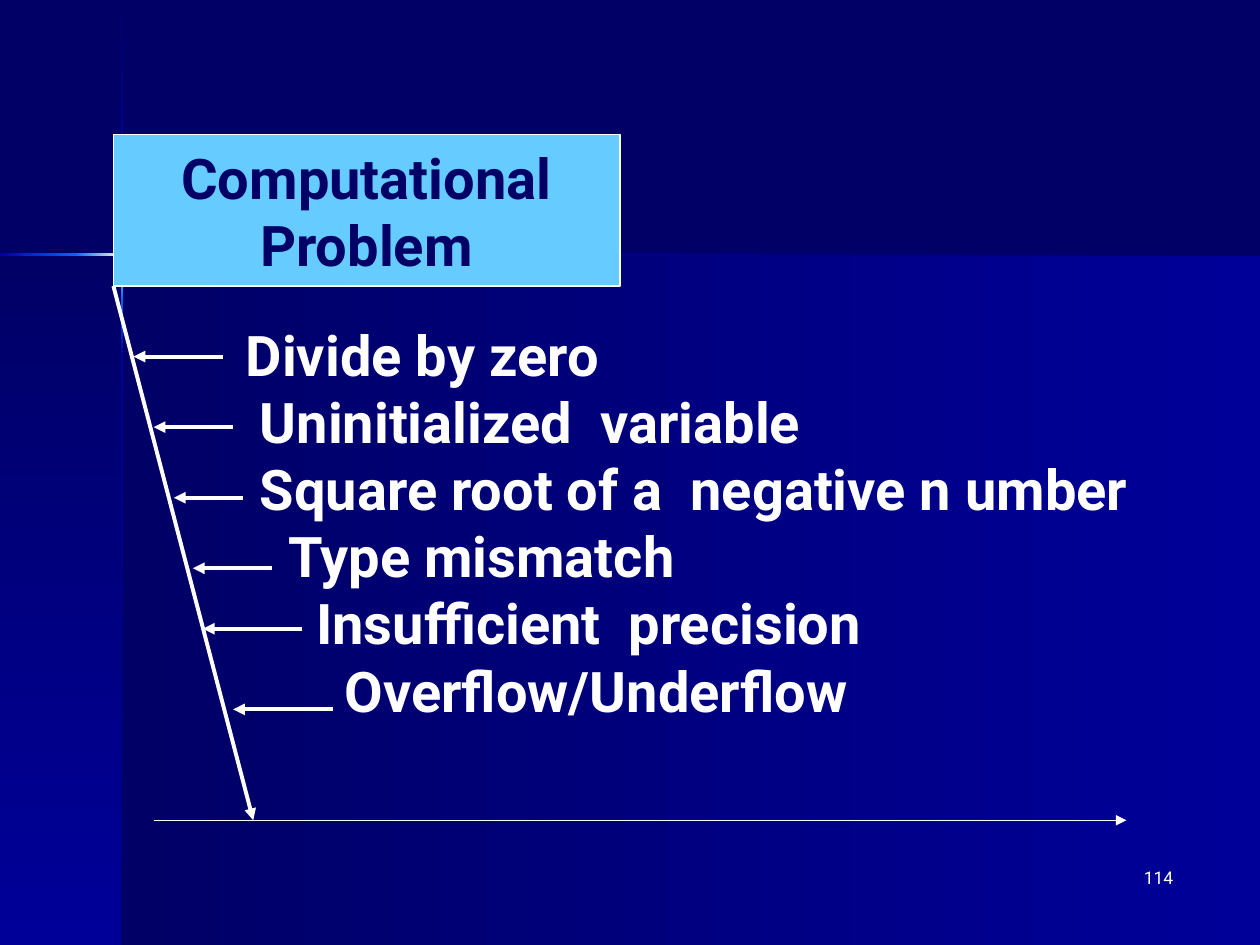
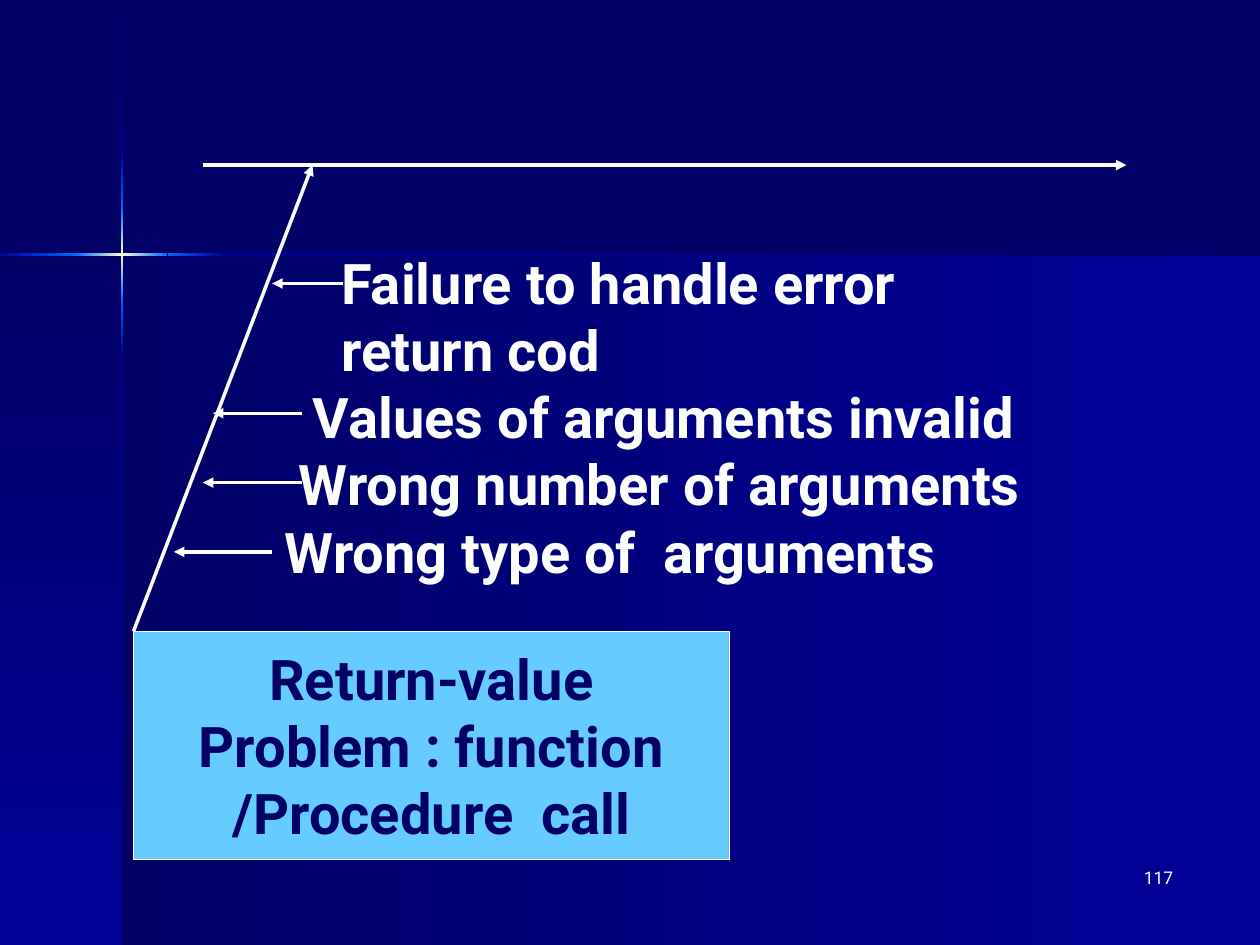
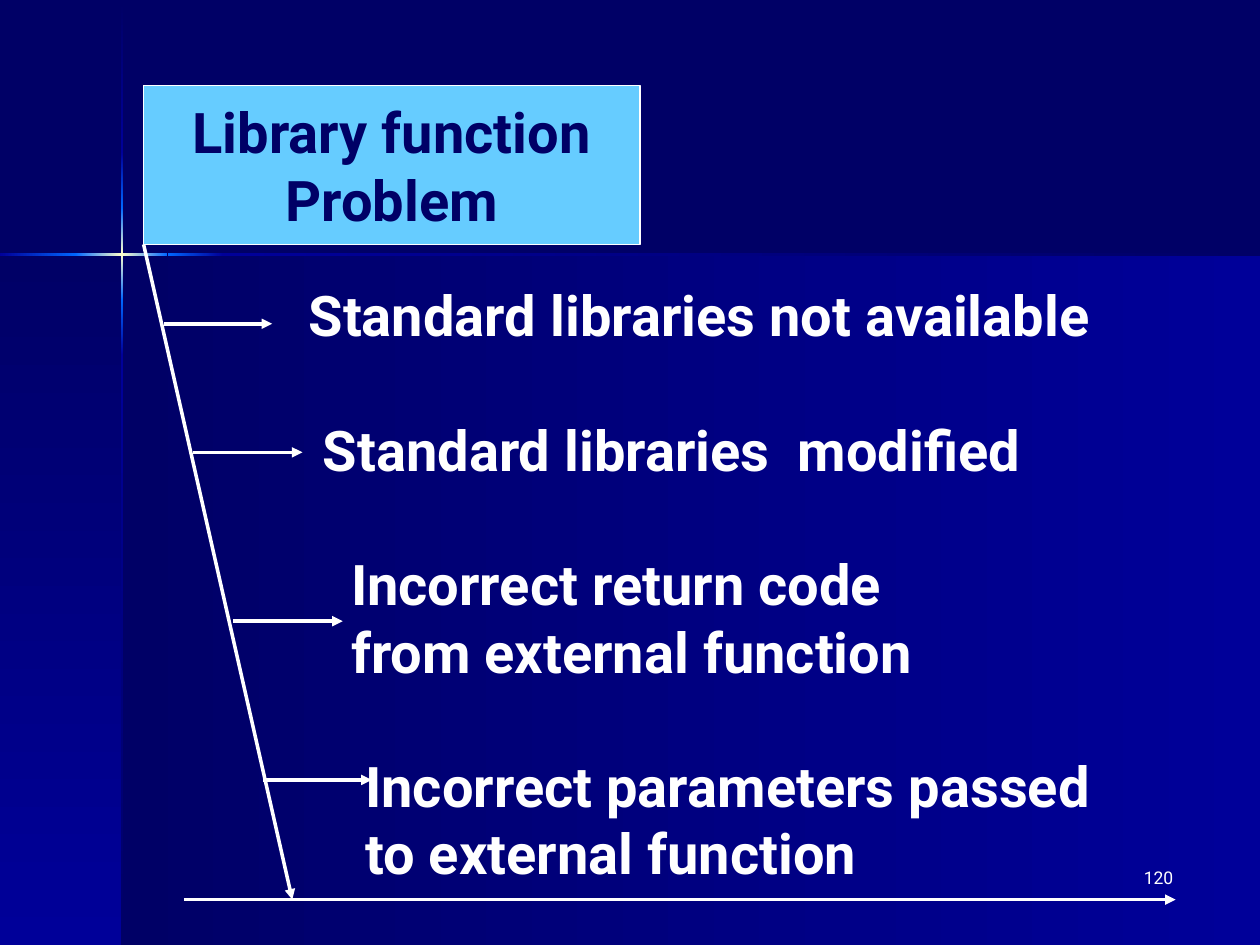
from pptx import Presentation
from pptx import util as u
from pptx.dml.color import RGBColor
from pptx.enum import shapes, text
from pptx.oxml import parse_xml
from pptx.oxml.ns import nsdecls, qn

C = {"dark": "000066", "deep": "000099", "glow": "0066FF", "spark": "FFFFCC",
     "box": "66CCFF", "white": "FFFFFF"}
FONT = "Roboto"
COLS, ROWS = 100, 75
LINE_GAP = 38.4   # points, one line of list text
STEP = 1.12       # columns, one step of list indent

# Background bands: left, top, width, height, gradient colours, angle
BANDS = [
    (9.7, 20.2, 90.3, 54.8, ("deep", "dark"), 180),
    (0, 20.2, 9.7, 54.8, ("dark", "deep"), 90),
    (9.6, 0.1, 0.2, 12, ("dark", "deep"), 90),
    (9.6, 28.2, 0.2, 46.8, ("deep", "dark"), 90),
    (17.7, 20.1, 82.3, 0.2, ("dark", "deep"), 180),
    (9.6, 23.8, 0.2, 4.4, ("glow", "deep"), 90),
    (9.6, 12.1, 0.2, 4.4, ("deep", "glow"), 90),
    (9.6, 16.5, 0.2, 7.3, ("glow", "spark", "glow"), 90),
    (0, 20.1, 6.1, 0.2, ("glow", "deep"), 180),
    (13.3, 20.1, 4.4, 0.2, ("deep", "glow"), 180),
    (6, 20.1, 7.3, 0.2, ("glow", "spark", "glow"), 180),
]


def rgb(name):
    return RGBColor.from_string(C[name])


def write(p, words, size=32, color="white", bold=True, align="LEFT", indent=0, before=0):
    """Fill one paragraph with formatted, unbulleted text."""
    r = p.add_run()
    r.text = words
    r.font.name, r.font.size, r.font.bold = FONT, u.Pt(size), bold
    r.font.color.rgb = rgb(color)
    p.alignment = getattr(text.PP_ALIGN, align)
    p.space_before = u.Pt(before)
    pPr = p._p.get_or_add_pPr()
    pPr.set("marL", str(int(indent)))
    pPr.set("indent", "0")
    pPr.append(parse_xml(f'<a:buNone {nsdecls("a")}/>'))


class Deck:
    def __init__(self):
        self.prs = Presentation()
        self.prs.slide_width, self.prs.slide_height = u.Inches(10), u.Inches(7.5)
        self.s = None

    def x(self, cols):
        return round(self.prs.slide_width * cols / COLS)

    def y(self, rows):
        return round(self.prs.slide_height * rows / ROWS)

    def place(self, sp, left, top, width, height):
        sp.left, sp.top = self.x(left), self.y(top)
        sp.width, sp.height = self.x(width), self.y(height)

    def new_slide(self):
        self.s = self.prs.slides.add_slide(self.prs.slide_layouts[1])

    def master(self):
        """Put the background and its bands on the slide master."""
        m = self.prs.slide_master
        m.background.fill.solid()
        m.background.fill.fore_color.rgb = rgb("dark")
        for i, band in enumerate(BANDS):
            m.shapes.element.insert(2 + i, self.band(*band).element)

    def band(self, left, top, width, height, colors, angle):
        sp = self.s.shapes.add_shape(shapes.MSO_SHAPE.RECTANGLE, 0, 0, 0, 0)
        self.place(sp, left, top, width, height)
        stops = "".join(
            f'<a:gs pos="{100000 * i // (len(colors) - 1)}"><a:srgbClr val="{C[c]}"/></a:gs>'
            for i, c in enumerate(colors))
        sp.element.spPr.append(parse_xml(
            f'<a:gradFill {nsdecls("a")} rotWithShape="1"><a:gsLst>{stops}</a:gsLst>'
            f'<a:lin ang="{angle * 60000}" scaled="0"/></a:gradFill>'))
        sp.line.fill.background()
        sp.shadow.inherit = False
        return sp

    def frame(self, sp, anchor):
        tf = sp.text_frame
        tf.word_wrap = True
        tf.auto_size = text.MSO_AUTO_SIZE.NONE
        tf.vertical_anchor = getattr(text.MSO_ANCHOR, anchor)
        return tf

    def paragraphs(self, tf, count):
        return [tf.paragraphs[0]] + [tf.add_paragraph() for _ in range(count - 1)]

    def title(self, box, lines):
        sp = self.s.shapes.title
        self.place(sp, *box)
        sp.fill.solid()
        sp.fill.fore_color.rgb = rgb("box")
        sp.line.color.rgb, sp.line.width = rgb("white"), u.Pt(0.75)
        tf = self.frame(sp, "MIDDLE")
        for p, line in zip(self.paragraphs(tf, len(lines)), lines):
            write(p, line, color="dark", align="CENTER")

    def body(self, box, items):
        """Each item is text, indent steps and blank lines above."""
        sp = self.s.placeholders[1]
        self.place(sp, *box)
        tf = self.frame(sp, "TOP")
        for p, (line, steps, gap) in zip(self.paragraphs(tf, len(items)), items):
            write(p, line, indent=self.x(steps * STEP), before=gap * LINE_GAP)

    def arrow(self, start, end, width=2):
        c = self.s.shapes.add_connector(
            shapes.MSO_CONNECTOR.STRAIGHT,
            self.x(start[0]), self.y(start[1]), self.x(end[0]), self.y(end[1]))
        c.line.color.rgb, c.line.width = rgb("white"), u.Pt(width)
        spPr = c.element.spPr
        spPr.find(qn("a:ln")).append(parse_xml(f'<a:tailEnd {nsdecls("a")} type="triangle"/>'))
        spPr.append(parse_xml(f'<a:effectLst {nsdecls("a")}/>'))

    def ribs(self, rows, width=2):
        """Each rib is its row, start column and end column."""
        for row, start, end in rows:
            self.arrow((start, row), (end, row), width)

    def number(self, n):
        sp = self.s.shapes.add_textbox(0, 0, 0, 0)
        self.place(sp, 73.3, 68.3, 20.8, 5)
        write(self.frame(sp, "TOP").paragraphs[0], str(n), size=10, bold=False, align="RIGHT")


def main():
    d = Deck()

    # Computational problem
    d.new_slide()
    d.master()
    d.body((18.5, 24.9, 81.5, 38.4), [
        ("Divide by zero", 0, 0),
        ("Uninitialized  variable", 1, 0),
        ("Square root of a  negative n umber", 1, 0),
        ("Type mismatch", 3, 0),
        ("Insufficient  precision", 5, 0),
        ("Overflow/Underflow", 7, 0)])
    d.title((9, 10.7, 40.2, 12), ["Computational", "Problem"])
    d.arrow((9, 22.7), (20.1, 65.1), 2.25)
    d.ribs([(28.3, 17.7, 10.6), (33.9, 18.5, 12.2), (39.5, 19.3, 13.8),
            (45.1, 21.6, 15.3), (49.9, 24, 16.1), (56.3, 26.4, 18.5)], 2.25)
    d.arrow((12.2, 65.1), (89.4, 65.1), 0.75)
    d.number(114)

    # Return-value problem
    d.new_slide()
    d.title((10.6, 50.1, 47.3, 18.1),
            ["Return-value", "Problem : function", "/Procedure  call"])
    d.arrow((10.6, 50.1), (24.8, 13.1))
    d.body((21.6, 19.2, 78.4, 28), [
        ("Failure to handle error", 4, 0),
        ("return cod", 4, 0),
        ("Values of arguments invalid", 2, 0),
        ("Wrong number of arguments", 1, 0),
        ("Wrong type of  arguments", 0, 0)])
    d.ribs([(22.5, 27.2, 21.6), (32.8, 24, 16.9), (38.3, 24, 16.1), (43.8, 21.6, 13.8)])
    d.arrow((16.1, 13.1), (89.4, 13.1))
    d.number(117)

    # Library function problem
    d.new_slide()
    d.title((11.4, 6.8, 39.4, 12.6), ["Library function", "Problem"])
    d.arrow((11.4, 19.4), (23.2, 71.4))
    d.body((23.5, 21.8, 76.5, 53.2), [
        ("Standard libraries not available", 0, 0),
        ("Standard libraries  modified", 1, 1),
        ("Incorrect return code", 3, 1),
        ("from external function", 3, 0),
        ("Incorrect parameters passed", 4, 1),
        ("to external function", 4, 0)])
    d.ribs([(25.7, 13, 21.6), (35.9, 15.3, 24), (49.3, 18.5, 27.2), (61.9, 20.9, 29.5)])
    d.arrow((14.6, 71.4), (93.3, 71.4))
    d.number(120)

    d.prs.save("out.pptx")


if __name__ == "__main__":
    main()
